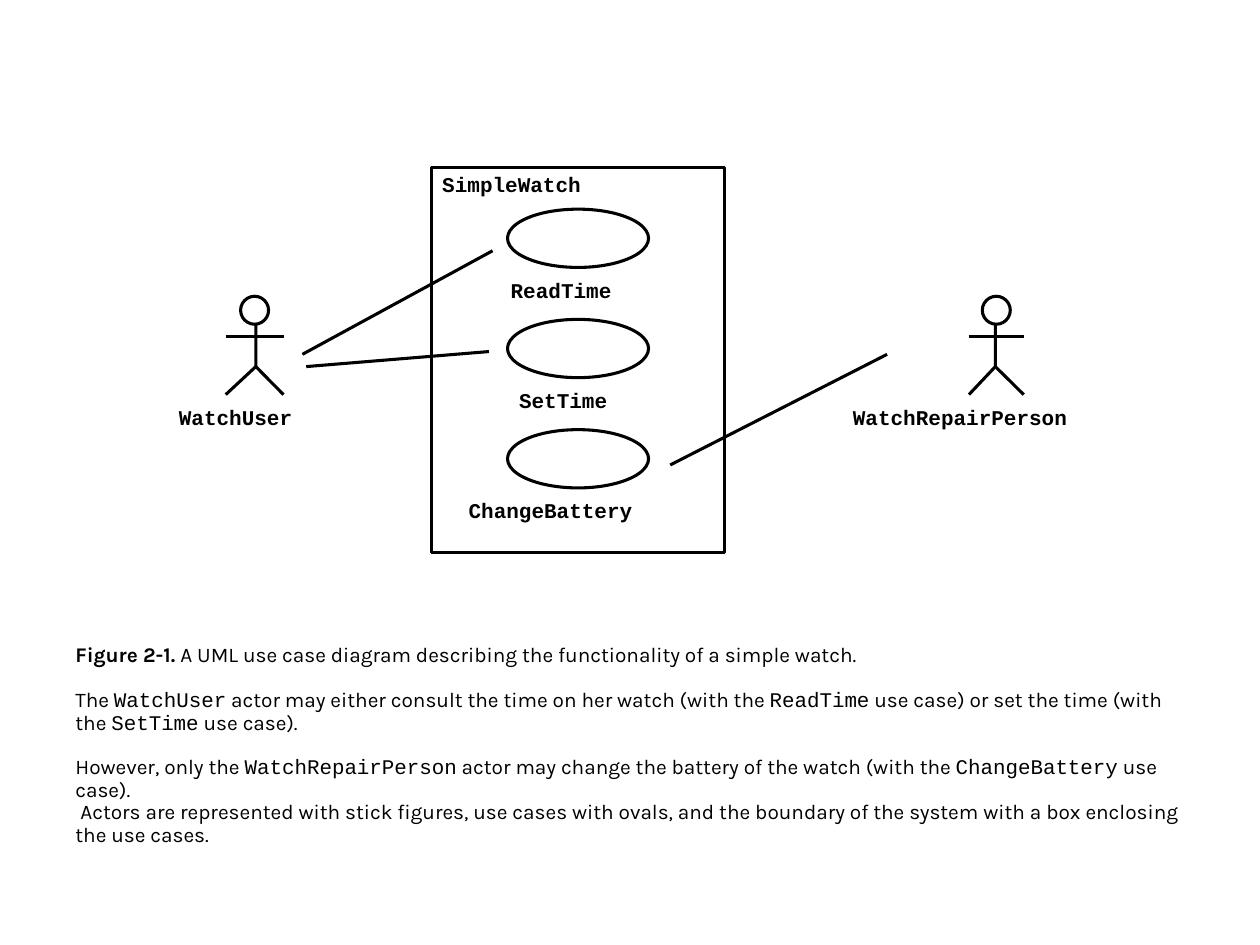
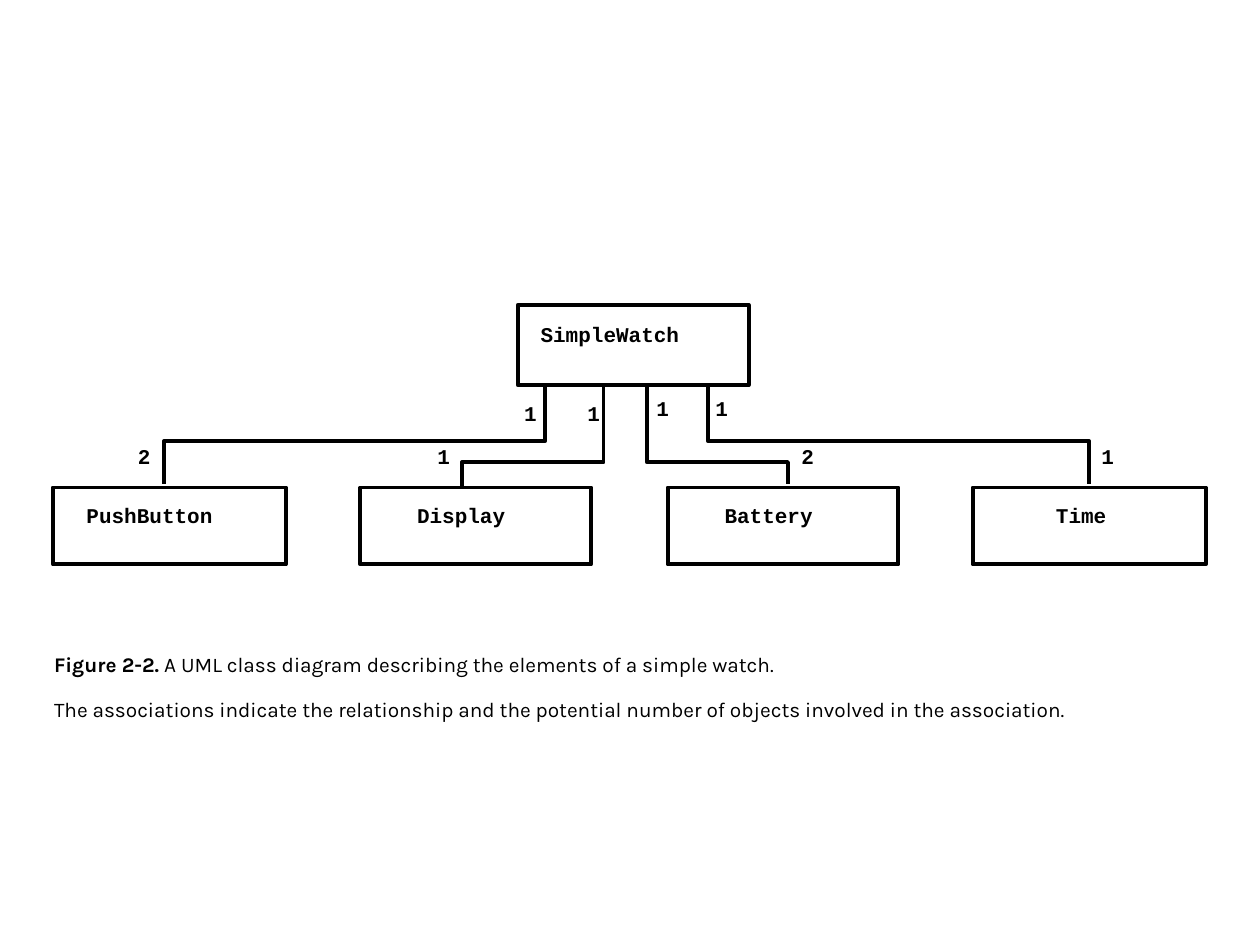
import dataclasses

import pptx
import pptx.dml.color
import pptx.enum.shapes
import pptx.enum.text
import pptx.util

Pt = pptx.util.Pt
SHAPE = pptx.enum.shapes.MSO_SHAPE
Slide = pptx.slide.Slide
Point = tuple[float, float]

# Shared style
BLACK, WHITE = "000000", "FFFFFF"
CODE, PROSE = "Courier New", "Karla"
THIN, THICK = 1.75, 2.25
CHAR, LINE = 7.2, 14.4  # cell of the code font at 12 pt


@dataclasses.dataclass
class Label:
    text: str
    left: float
    top: float


@dataclasses.dataclass
class Actor:
    name: Label
    left: float
    neck: float
    right: float


@dataclasses.dataclass
class Node:
    name: Label
    left: float
    top: float
    width: float
    height: float


@dataclasses.dataclass
class Link:
    foot: Point
    bus: float
    top: Point
    marks: tuple[Label, Label]


@dataclasses.dataclass
class Caption:
    left: float
    top: float
    width: float
    height: float
    title: str
    lines: list[tuple[float, str]]  # gap above, text with `code`


def color(code: str) -> pptx.dml.color.RGBColor:
    return pptx.dml.color.RGBColor.from_string(code)


def set_font(font, size: float, name: str, bold: bool) -> None:
    font.size, font.name, font.bold = Pt(size), name, bold
    font.color.rgb = color(BLACK)


def set_line(shape, weight: float) -> None:
    shape.line.color.rgb = color(BLACK)
    shape.line.width = Pt(weight)


def draw_shape(slide: Slide, kind, left: float, top: float, width: float,
               height: float, weight: float, fill: str = "") -> None:
    shape = slide.shapes.add_shape(kind, Pt(left), Pt(top), Pt(width), Pt(height))
    shape.shadow.inherit = False
    set_line(shape, weight)
    if fill:
        shape.fill.solid()
        shape.fill.fore_color.rgb = color(fill)
    else:
        shape.fill.background()


def draw_line(slide: Slide, start: Point, end: Point) -> None:
    line = slide.shapes.add_connector(
        pptx.enum.shapes.MSO_CONNECTOR.STRAIGHT,
        Pt(start[0]), Pt(start[1]), Pt(end[0]), Pt(end[1]))
    set_line(line, THIN)
    line._element.spPr.append(pptx.oxml.parse_xml(
        '<a:effectLst xmlns:a="http://schemas.openxmlformats.org/drawingml/2006/main"/>'))


def draw_path(slide: Slide, points: list[Point], weight: float) -> None:
    (x, y), *rest = [(Pt(x), Pt(y)) for x, y in points]
    pen = slide.shapes.build_freeform(x, y)
    pen.add_line_segments(rest, close=False)
    path = pen.convert_to_shape()
    path.shadow.inherit = False
    path.fill.background()
    set_line(path, weight)


def draw_label(slide: Slide, label: Label) -> None:
    box = slide.shapes.add_textbox(Pt(label.left), Pt(label.top),
                                   Pt(len(label.text) * CHAR), Pt(LINE))
    frame = box.text_frame
    frame.margin_left = frame.margin_right = 0
    frame.margin_top = frame.margin_bottom = 0
    frame.word_wrap = False
    frame.auto_size = pptx.enum.text.MSO_AUTO_SIZE.SHAPE_TO_FIT_TEXT
    frame.text = label.text
    set_font(frame.paragraphs[0].font, 12, CODE, True)


def draw_actor(slide: Slide, actor: Actor) -> None:
    hip, feet, arms, head = 209.5, 225.5, 192.3, 16
    draw_path(slide, [(actor.neck, 181.5), (actor.neck, hip), (actor.left, feet)], THIN)
    draw_line(slide, (actor.neck, hip), (actor.right, feet))
    draw_line(slide, (actor.left, arms), (actor.right, arms))
    draw_shape(slide, SHAPE.OVAL, (actor.left + actor.right - head) / 2, 169.3,
               head, head, THIN, WHITE)
    draw_label(slide, actor.name)


def draw_node(slide: Slide, node: Node) -> None:
    draw_shape(slide, SHAPE.RECTANGLE, node.left, node.top, node.width,
               node.height, THICK, WHITE)
    draw_label(slide, node.name)


def draw_link(slide: Slide, link: Link) -> None:
    bends = [(link.foot[0], link.bus), (link.top[0], link.bus)]
    draw_path(slide, [link.foot, *bends, link.top], THICK)
    for mark in link.marks:
        draw_label(slide, mark)


def draw_caption(slide: Slide, note: Caption) -> None:
    frame = slide.shapes.add_textbox(Pt(note.left), Pt(note.top), Pt(note.width),
                                     Pt(note.height)).text_frame
    frame.word_wrap = True
    frame.vertical_anchor = pptx.enum.text.MSO_ANCHOR.MIDDLE
    for row, (gap, text) in enumerate(note.lines):
        para = frame.add_paragraph() if row else frame.paragraphs[0]
        para.line_spacing, para.space_before = 0.9, Pt(gap)
        set_font(para.font, 11.9, PROSE, False)
        if not row:
            head = para.add_run()
            head.text, head.font.bold = note.title, True
        for part, words in enumerate(text.split("`")):
            run = para.add_run()
            run.text = words
            if part % 2:
                run.font.name = CODE


GAP = 12.8

# Use case diagram
ACTORS = [
    Actor(Label("WatchUser", 102.2, 231.1), 129, 146.2, 162),
    Actor(Label("WatchRepairPerson", 487.4, 231.1), 553.7, 568.8, 585),
]
CASES = [("ReadTime", 291.8), ("SetTime", 296.6), ("ChangeBattery", 267.8)]
USES = [
    ((172.8, 202.5), (281.5, 143.3)),
    ((175, 209.5), (279.4, 200.9)),
    ((383, 265.7), (506.9, 202.5)),
]
CASE_NOTE = Caption(36, 354.2, 653.8, 144, "Figure 2-1.", [
    (0, " A UML use case diagram describing the functionality of a simple watch."),
    (GAP, "The `WatchUser` actor may either consult the time on her watch (with the "
          "`ReadTime` use case) or set the time (with the `SetTime` use case)."),
    (GAP, "However, only the `WatchRepairPerson` actor may change the battery of the "
          "watch (with the `ChangeBattery` use case)."),
    (0, " Actors are represented with stick figures, use cases with ovals, and the "
        "boundary of the system with a box enclosing the use cases."),
])

# Class diagram
ROW, NAMES, ENDS = 278.6, 287.3, 253.4
NODES = [Node(Label("SimpleWatch", 308.9, 183.6), 296, 174.2, 131.8, 46)] + [
    Node(Label(name, text, NAMES), left, ROW, width, 44)
    for name, text, left, width in [
        ("PushButton", 49.4, 30.2, 133.2), ("Display", 238.3, 206, 131.8),
        ("Battery", 414, 381.6, 131.8), ("Time", 603.4, 555.8, 133.2)]
]
LINKS = [
    Link((93.8, 276.5), 252, (311.6, 219),
         (Label("1", 299.5, 229), Label("2", 78.8, ENDS))),
    Link((264.1, ROW), 264.1, (344.9, 219),
         (Label("1", 335.6, 229), Label("1", 250, ENDS))),
    Link((450.2, 276.5), 264.1, (369.6, 219),
         (Label("1", 375.1, 226.3), Label("2", 458, ENDS))),
    Link((622.2, 276.5), 252, (404.5, 219),
         (Label("1", 408.8, 226.3), Label("1", 629.4, ENDS))),
]
CLASS_NOTE = Caption(23.8, 365.8, 642.2, 55.4, "Figure 2-2.", [
    (0, " A UML class diagram describing the elements of a simple watch."),
    (GAP, "The associations indicate the relationship and the potential number of "
          "objects involved in the association."),
])


def draw_cases(slide: Slide) -> None:
    for actor in ACTORS:
        draw_actor(slide, actor)
    draw_shape(slide, SHAPE.RECTANGLE, 246.4, 95.8, 167.8, 220, THIN)
    draw_label(slide, Label("SimpleWatch", 252.7, 98))
    for row, (name, left) in enumerate(CASES):
        top = 119.5 + 63 * row
        draw_shape(slide, SHAPE.OVAL, 290, top, 80.6, 33.3, THIN)
        draw_label(slide, Label(name, left, top + 39))
    for start, end in USES:
        draw_line(slide, start, end)
    draw_caption(slide, CASE_NOTE)


def draw_class(slide: Slide) -> None:
    draw_caption(slide, CLASS_NOTE)
    for link in LINKS:
        draw_link(slide, link)
    for node in NODES:
        draw_node(slide, node)


def main() -> None:
    deck = pptx.Presentation()
    deck.slide_width, deck.slide_height = Pt(720), Pt(540)
    for draw in (draw_cases, draw_class):
        draw(deck.slides.add_slide(deck.slide_layouts[6]))
    deck.save("out.pptx")


if __name__ == "__main__":
    main()
